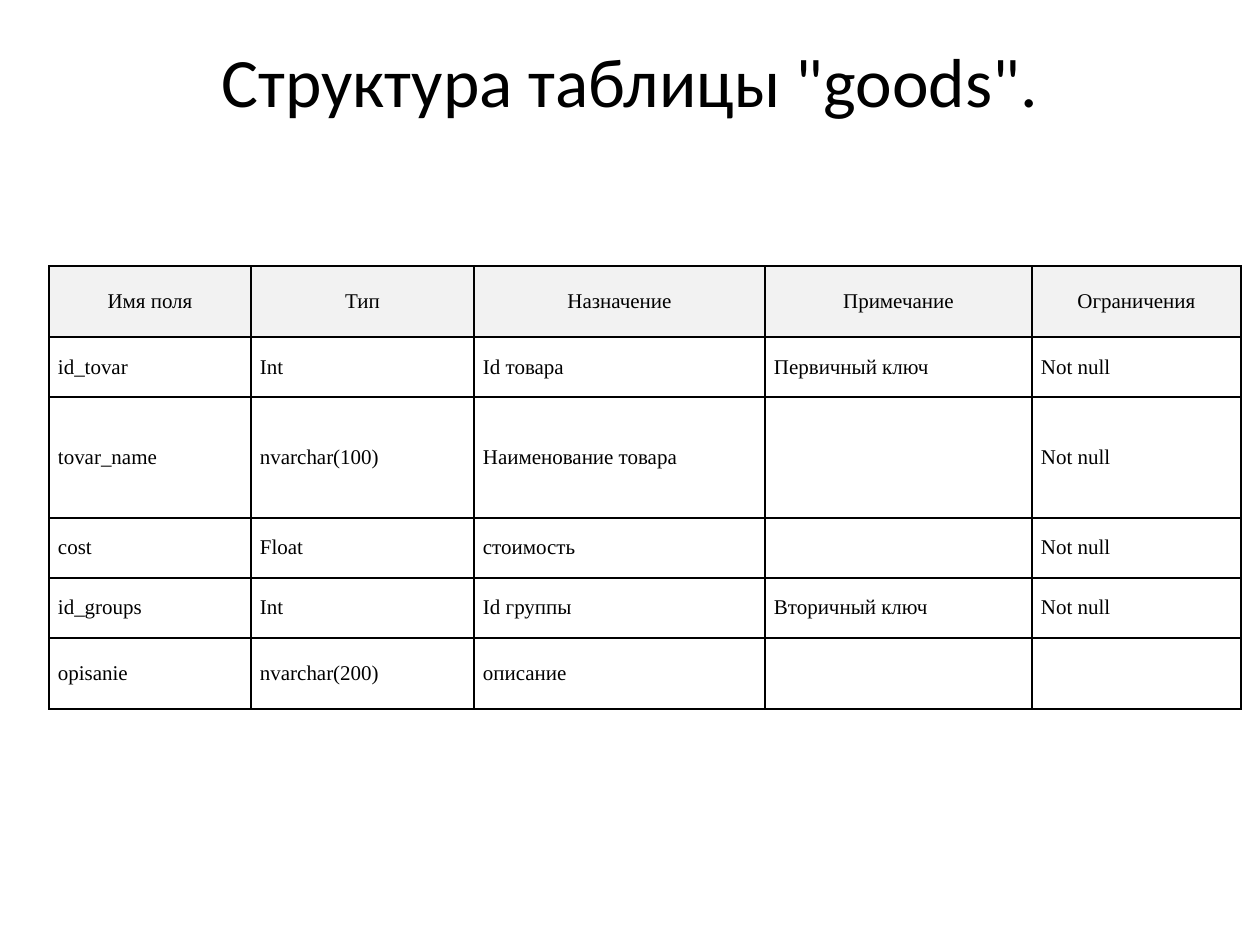
from dataclasses import dataclass

from lxml import etree
from pptx import Presentation
from pptx import util as u
from pptx.dml.color import RGBColor
from pptx.enum import text
from pptx.oxml.ns import qn

PX_PER_INCH = 126
BLACK = "000000"
HEADER_FILL = "F2F2F2"
TABLE_FONT = "Times New Roman"


@dataclass(frozen=True)
class Field:
    name: str
    kind: str
    purpose: str
    note: str
    limits: str
    height: int

    def texts(self) -> tuple[str, ...]:
        return self.name, self.kind, self.purpose, self.note, self.limits


HEADER = Field("Имя поля", "Тип", "Назначение", "Примечание", "Ограничения", 71)
FIELDS = [
    Field("id_tovar", "Int", "Id товара", "Первичный ключ", "Not null", 60),
    Field("tovar_name", "nvarchar(100)", "Наименование товара", "", "Not null", 121),
    Field("cost", "Float", "стоимость", "", "Not null", 60),
    Field("id_groups", "Int", "Id группы", "Вторичный ключ", "Not null", 60),
    Field("opisanie", "nvarchar(200)", "описание", "", "", 71),
]
COLUMN_WIDTHS = [202, 223, 291, 267, 209]


def px(length: int) -> u.Emu:
    return u.Emu(round(length * u.Inches(1) / PX_PER_INCH))


def color(value: str) -> RGBColor:
    return RGBColor.from_string(value)


def style_font(font, name: str, size: float) -> None:
    font.name = name
    font.size = u.Pt(size)
    font.color.rgb = color(BLACK)


def add_borders(cell) -> None:
    properties = cell._tc.get_or_add_tcPr()
    for side in ("a:lnL", "a:lnR", "a:lnT", "a:lnB"):
        line = etree.SubElement(properties, qn(side), w=str(u.Pt(1)))
        fill = etree.SubElement(line, qn("a:solidFill"))
        etree.SubElement(fill, qn("a:srgbClr"), val=BLACK)


def fill_cell(cell, words: str, is_header: bool) -> None:
    cell.margin_left = cell.margin_right = px(9)
    cell.margin_top = cell.margin_bottom = 0
    cell.vertical_anchor = text.MSO_ANCHOR.MIDDLE
    add_borders(cell)
    if is_header:
        cell.fill.solid()
        cell.fill.fore_color.rgb = color(HEADER_FILL)
    else:
        cell.fill.background()
    para = cell.text_frame.paragraphs[0]
    para.text = words
    para.alignment = text.PP_ALIGN.CENTER if is_header else text.PP_ALIGN.LEFT
    style_font(para.font, TABLE_FONT, 12)


def set_title(slide, words: str) -> None:
    title = slide.shapes.title
    title.left, title.top, title.width, title.height = map(px, (63, 38, 1134, 158))
    frame = title.text_frame
    frame.vertical_anchor = text.MSO_ANCHOR.TOP
    frame.margin_top = 0
    para = frame.paragraphs[0]
    para.text = words
    para.alignment = text.PP_ALIGN.CENTER
    style_font(para.font, "Calibri", 39.6)


def add_field_table(slide, rows: list[Field]) -> None:
    height = sum(row.height for row in rows)
    frame = slide.shapes.add_table(
        len(rows), len(COLUMN_WIDTHS),
        px(49), px(266), px(sum(COLUMN_WIDTHS)), px(height),
    )
    table = frame.table
    table.horz_banding = False
    table.first_row = False
    for column, width in zip(table.columns, COLUMN_WIDTHS):
        column.width = px(width)
    for table_row, field in zip(table.rows, rows):
        table_row.height = px(field.height)
        for cell, words in zip(table_row.cells, field.texts()):
            fill_cell(cell, words, field is HEADER)


def main() -> None:
    deck = Presentation()
    deck.slide_width, deck.slide_height = px(1260), px(945)
    page = deck.slides.add_slide(deck.slide_layouts[5])

    # Heading
    set_title(page, 'Структура таблицы "goods".')

    # Field descriptions
    add_field_table(page, [HEADER, *FIELDS])

    deck.save("out.pptx")


if __name__ == "__main__":
    main()
